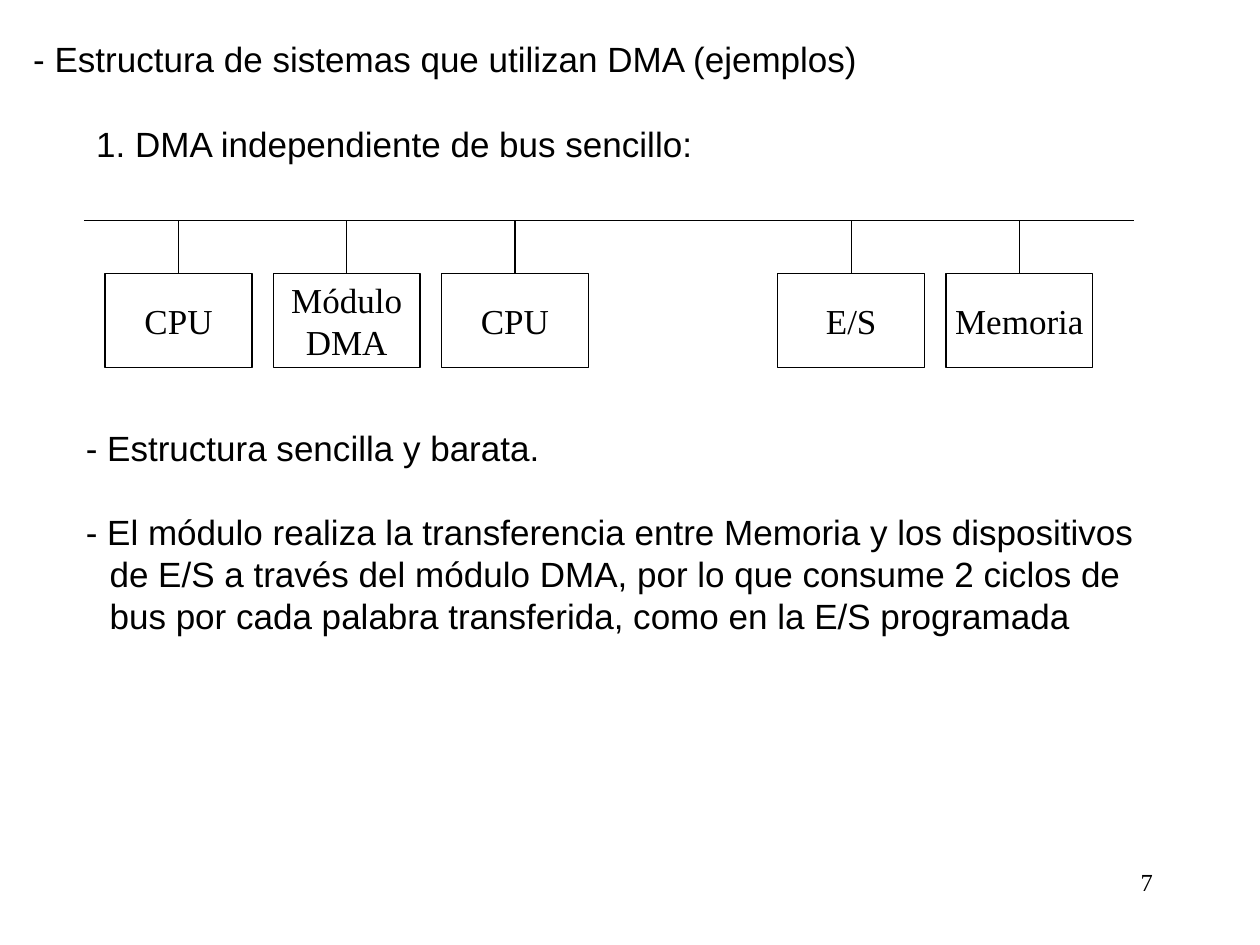
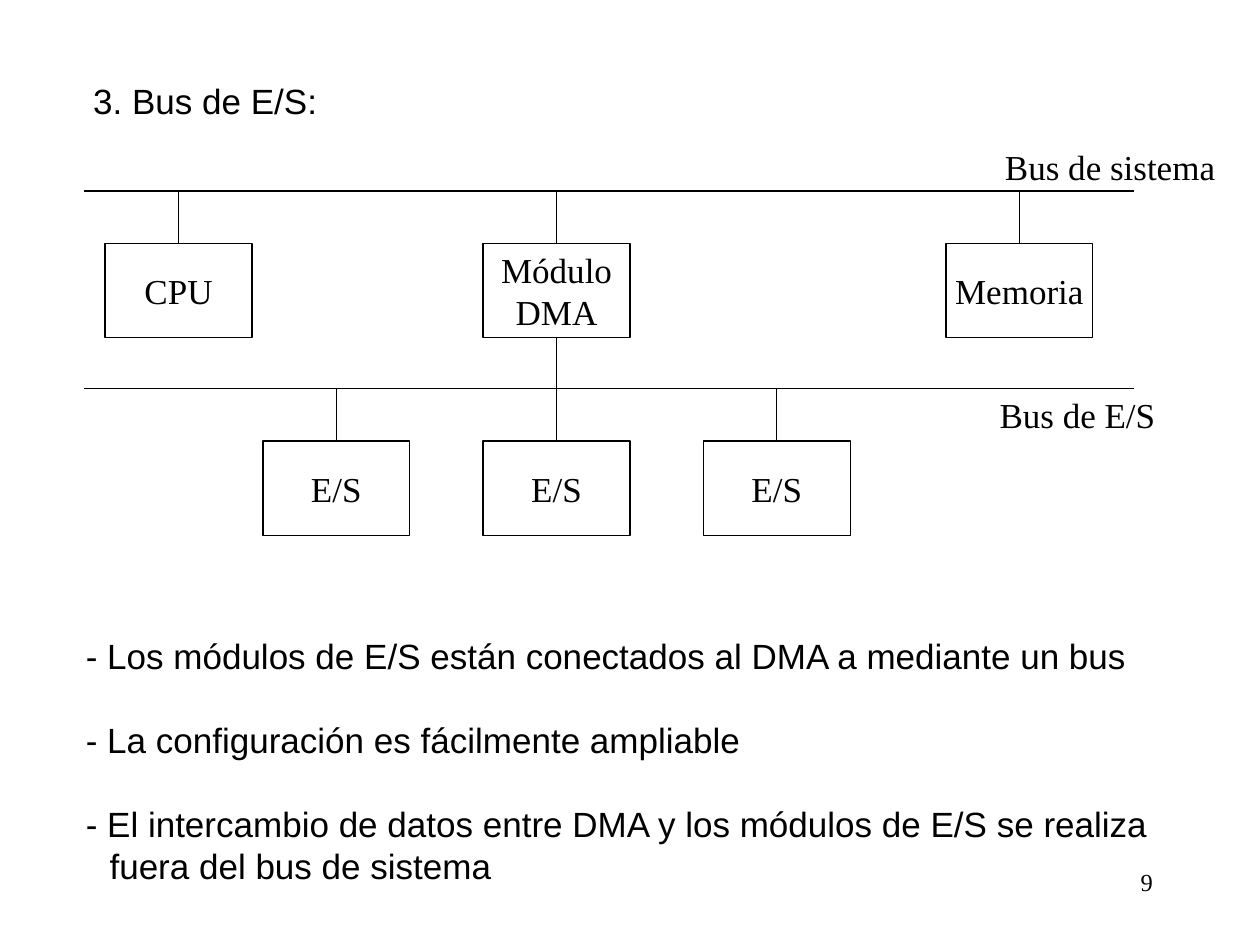
import pptx
import pptx.dml.color
import pptx.enum.shapes
import pptx.enum.text
import pptx.oxml
import pptx.util
from pptx.util import Cm

INK = "000000"
SANS = "Arial"
SERIF = "Times New Roman"
ALIGN = pptx.enum.text.PP_ALIGN
BODY_SIZE = 20
LINE_PITCH = 24
BUS_LEFT, BUS_RIGHT = 1.69, 22.86
NODE_WIDTH, NODE_HEIGHT = 2.96, 1.9
FIRST_CENTER, SLOT_PITCH = 3.6, 3.39
DMA_CENTER, IO_PITCH = 11.22, 4.44
DROP = 1.06
HANG = 0.48
SUBTITLE_INDENT = 1.27


def color(hex_value):
    return pptx.dml.color.RGBColor.from_string(hex_value)


def style_text(frame, font_name, size=BODY_SIZE, align=ALIGN.LEFT, gap=0):
    for index, para in enumerate(frame.paragraphs):
        para.alignment = align
        if size == BODY_SIZE:
            para.line_spacing = pptx.util.Pt(LINE_PITCH)
        if index and gap:
            para.space_before = pptx.util.Pt(gap)
        for span in para.runs:
            span.font.name = font_name
            span.font.size = pptx.util.Pt(size)
            span.font.color.rgb = color(INK)


def indent(para, left, first=0.0):
    properties = para._p.get_or_add_pPr()
    properties.set("marL", str(Cm(left)))
    properties.set("indent", str(Cm(first)))


def add_text(page, text, left, top, width, height, font_name=SANS, wrap=True, **style):
    box = page.shapes.add_textbox(Cm(left), Cm(top), Cm(width), Cm(height))
    frame = box.text_frame
    frame.word_wrap = wrap
    frame.text = text
    style_text(frame, font_name, **style)
    return frame


def add_notes_list(page, items, top, height):
    frame = add_text(page, "\n".join(items), 1.48, top, 22.23, height, gap=LINE_PITCH)
    for para in frame.paragraphs:
        indent(para, HANG, -HANG)


def add_page_number(page, number):
    add_text(page, str(number), 18.2, 17.36, 5.29, 1.27, SERIF, size=14, align=ALIGN.RIGHT)


def add_line(page, x1, y1, x2, y2):
    line = page.shapes.add_connector(
        pptx.enum.shapes.MSO_CONNECTOR.STRAIGHT, Cm(x1), Cm(y1), Cm(x2), Cm(y2))
    line.line.color.rgb = color(INK)
    line.line.width = pptx.util.Pt(0.75)
    line._element.spPr.append(pptx.oxml.parse_xml(
        '<a:effectLst xmlns:a="http://schemas.openxmlformats.org/drawingml/2006/main"/>'))


def add_node(page, label, center, top):
    node = page.shapes.add_shape(
        pptx.enum.shapes.MSO_SHAPE.RECTANGLE,
        Cm(center - NODE_WIDTH / 2), Cm(top), Cm(NODE_WIDTH), Cm(NODE_HEIGHT))
    node.shadow.inherit = False
    node.fill.background()
    node.line.color.rgb = color(INK)
    node.line.width = pptx.util.Pt(0.75)
    frame = node.text_frame
    frame.word_wrap = False
    frame.vertical_anchor = pptx.enum.text.MSO_ANCHOR.MIDDLE
    frame.text = label
    style_text(frame, SERIF, align=ALIGN.CENTER)


def add_bus(page, top, nodes):
    add_line(page, BUS_LEFT, top, BUS_RIGHT, top)
    for label, center in nodes:
        add_line(page, center, top, center, top + DROP)
        add_node(page, label, center, top + DROP)


def slot(index):
    return FIRST_CENTER + index * SLOT_PITCH


def build_single_bus(page):
    heading = add_text(
        page,
        "- Estructura de sistemas que utilizan DMA (ejemplos)\n"
        "1. DMA independiente de bus sencillo:",
        0.42, 0.64, 24.13, 2.79, gap=LINE_PITCH)
    indent(heading.paragraphs[0], HANG, -HANG)
    indent(heading.paragraphs[1], SUBTITLE_INDENT)
    add_bus(page, 4.45, [
        ("CPU", slot(0)), ("Módulo\nDMA", slot(1)), ("CPU", slot(2)),
        ("E/S", slot(4)), ("Memoria", slot(5))])
    add_notes_list(page, [
        "- Estructura sencilla y barata.",
        "- El módulo realiza la transferencia entre Memoria y los dispositivos "
        "de E/S a través del módulo DMA, por lo que consume 2 ciclos de bus "
        "por cada palabra transferida, como en la E/S programada",
    ], 8.47, 4.5)
    add_page_number(page, 7)


def build_io_bus(page):
    system_top, io_top = 3.85, 7.83
    heading = add_text(page, "3. Bus de E/S:", 0.36, 1.48, 6.3, 1.11, wrap=False)
    indent(heading.paragraphs[0], SUBTITLE_INDENT)
    add_bus(page, system_top, [
        ("CPU", slot(0)), ("Módulo\nDMA", DMA_CENTER), ("Memoria", slot(5))])
    add_line(page, DMA_CENTER, system_top + DROP + NODE_HEIGHT, DMA_CENTER, io_top)
    add_bus(page, io_top, [("E/S", DMA_CENTER + step * IO_PITCH) for step in (-1, 0, 1)])
    add_text(page, "Bus de sistema", 20.01, 2.8, 4.75, 1.11, SERIF, wrap=False)
    add_text(page, "Bus de E/S", 19.9, 7.8, 3.66, 1.11, SERIF, wrap=False)
    add_notes_list(page, [
        "- Los módulos de E/S están conectados al DMA a mediante un bus",
        "- La configuración es fácilmente ampliable",
        "- El intercambio de datos entre DMA y los módulos de E/S se realiza "
        "fuera del bus de sistema",
    ], 12.66, 5.33)
    add_page_number(page, 9)


def main():
    deck = pptx.Presentation()
    deck.slide_width = Cm(25.4)
    deck.slide_height = Cm(19.05)
    for build in (build_single_bus, build_io_bus):
        build(deck.slides.add_slide(deck.slide_layouts[6]))
    deck.save("out.pptx")


if __name__ == "__main__":
    main()
